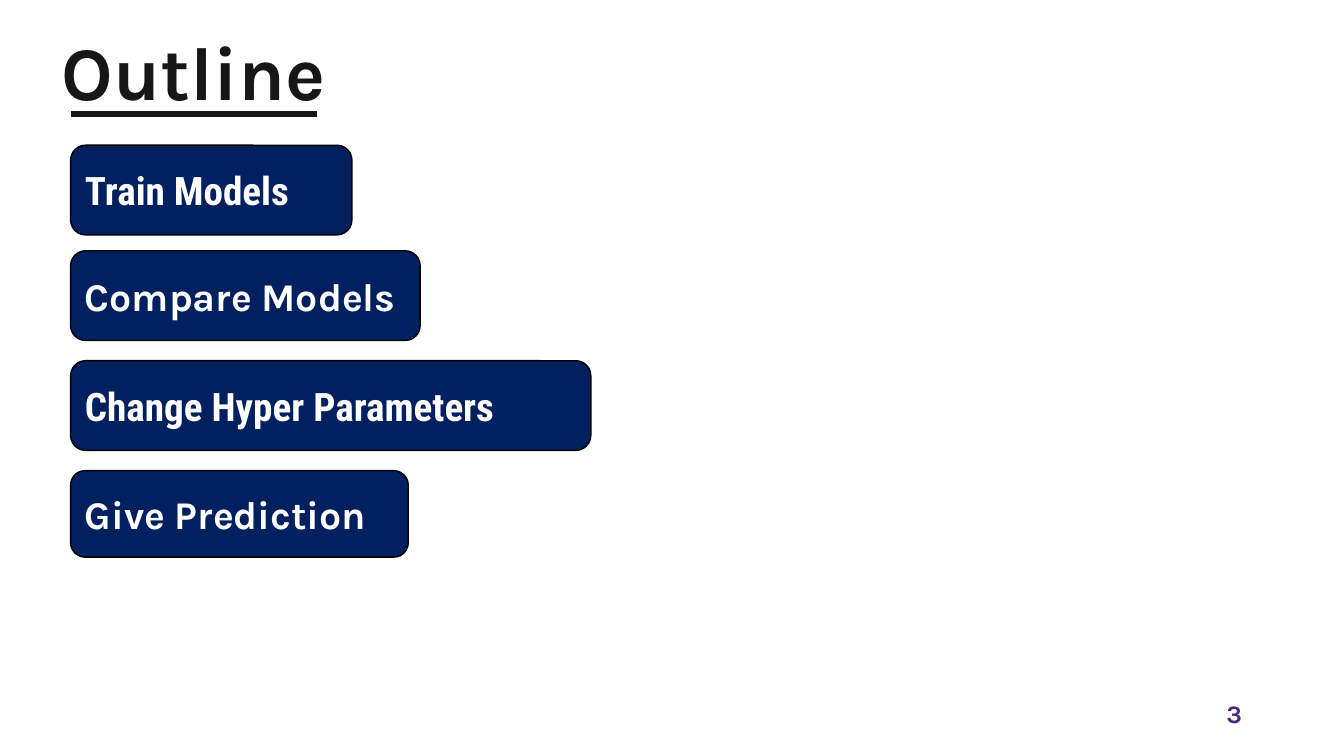
from lxml import etree
from pptx import Presentation
from pptx.dml.color import RGBColor
from pptx.enum.shapes import MSO_CONNECTOR as CONNECTOR, MSO_SHAPE as SHAPE
from pptx.enum.text import MSO_ANCHOR as ANCHOR, MSO_AUTO_SIZE as AUTO_SIZE, PP_ALIGN as ALIGN
from pptx.oxml.ns import qn
from pptx.util import Cm, Pt

INK = "181717"
NAVY = "002060"
BLACK = "000000"
WHITE = "FFFFFF"
PURPLE = "4C287F"
KARLA = "Karla"
ROBOTO = "Roboto Condensed"
LEFT = 1.78

STEPS = [
    ("Train Models", ROBOTO, 3.66, 7.09, 2.26),
    ("Compare Models", KARLA, 6.32, 8.81, 2.26),
    ("Change Hyper Parameters", ROBOTO, 9.09, 13.11, 2.26),
    ("Give Prediction", KARLA, 11.86, 8.51, 2.18),
]


def color(value):
    return RGBColor.from_string(value)


def write_text(shape, text, font_name, size, font_color, align=ALIGN.LEFT):
    frame = shape.text_frame
    frame.word_wrap = True
    frame.auto_size = AUTO_SIZE.NONE
    frame.vertical_anchor = ANCHOR.MIDDLE
    paragraph = frame.paragraphs[0]
    paragraph.alignment = align
    run = paragraph.add_run()
    run.text = text
    run.font.name = font_name
    run.font.size = Pt(size)
    run.font.bold = True
    run.font.color.rgb = color(font_color)
    return paragraph


def set_title(slide, text):
    title = slide.shapes.title
    title.left, title.top = Cm(1.3), Cm(0.08)
    title.width, title.height = Cm(29.21), Cm(3.68)
    paragraph = write_text(title, text, KARLA, 54, INK)
    paragraph.line_spacing = 0.9


def add_underline(slide, left, right, y):
    line = slide.shapes.add_connector(CONNECTOR.STRAIGHT, Cm(left), Cm(y), Cm(right), Cm(y))
    line.line.color.rgb = color(INK)
    line.line.width = Pt(4.5)
    etree.SubElement(line._element.spPr, qn("a:effectLst"))


def add_step(slide, text, font_name, top, width, height):
    box = slide.shapes.add_shape(
        SHAPE.ROUNDED_RECTANGLE, Cm(LEFT), Cm(top), Cm(width), Cm(height))
    box.shadow.inherit = False
    box.fill.solid()
    box.fill.fore_color.rgb = color(NAVY)
    box.line.color.rgb = color(BLACK)
    box.line.width = Pt(1)
    write_text(box, text, font_name, 28, WHITE)


def add_page_number(slide, number):
    box = slide.shapes.add_textbox(Cm(23.93), Cm(17.48), Cm(7.62), Cm(1.02))
    write_text(box, number, KARLA, 18, PURPLE, ALIGN.RIGHT)


def main():
    presentation = Presentation()
    presentation.slide_width = Cm(33.87)
    presentation.slide_height = Cm(19.05)
    slide = presentation.slides.add_slide(presentation.slide_layouts.get_by_name("Title Only"))
    slide.background.fill.solid()
    slide.background.fill.fore_color.rgb = color(WHITE)
    set_title(slide, "Outline")
    add_underline(slide, LEFT, 7.98, 2.87)
    for step in STEPS:
        add_step(slide, *step)
    add_page_number(slide, "3")
    presentation.save("out.pptx")


if __name__ == "__main__":
    main()
